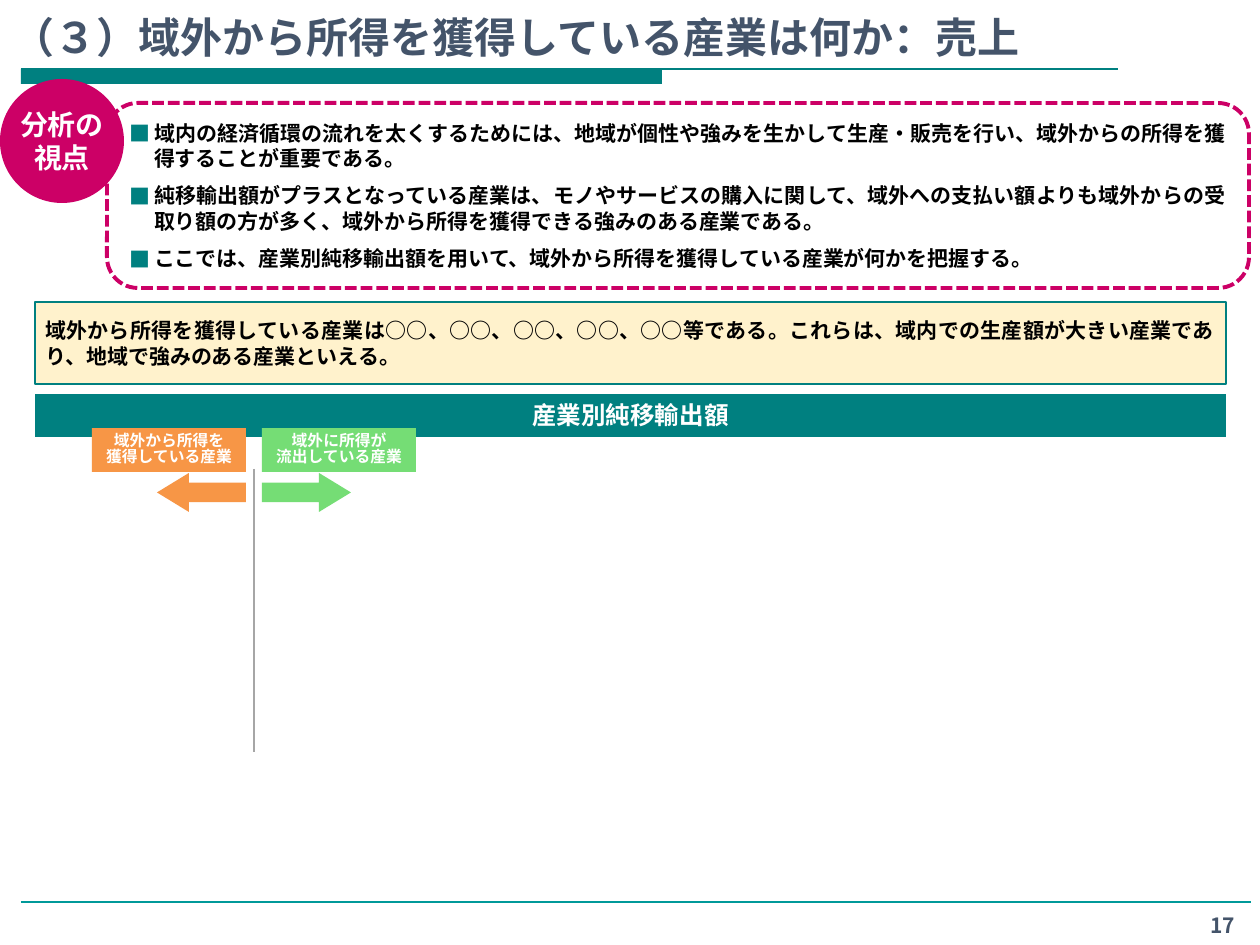
import copy
import pptx
import pptx.util
import pptx.dml.color
import pptx.enum.dml
import pptx.enum.shapes
import pptx.enum.text
import pptx.oxml.ns
import lxml.etree

FONT = "Noto Sans CJK JP"
COLORS = {
    "teal": "008080", "rule": "009999", "slate": "44546A", "gray": "A6A6A6",
    "pink": "CC0066", "cream": "FFF2CC", "green": "75DD75",
    "orange": "F79646", "black": "000000", "white": "FFFFFF",
}
SHAPE = pptx.enum.shapes.MSO_SHAPE
ALIGN = pptx.enum.text.PP_ALIGN
ANCHOR = pptx.enum.text.MSO_ANCHOR
Pt = pptx.util.Pt
qn = pptx.oxml.ns.qn


def px(num):
    """Turn px (126 to the inch) into EMU."""
    return round(num * 914400 / 126)


def color(name):
    return pptx.dml.color.RGBColor.from_string(COLORS[name])


def bullet(para, tint):
    """Hang a square bullet in front of a paragraph."""
    props = para._p.get_or_add_pPr()
    props.set("marL", str(px(25)))
    props.set("indent", str(px(-25)))
    fill = lxml.etree.SubElement(props, qn("a:buClr"))
    lxml.etree.SubElement(fill, qn("a:srgbClr"), val=COLORS[tint])
    lxml.etree.SubElement(props, qn("a:buFont"), typeface=FONT)
    lxml.etree.SubElement(props, qn("a:buChar"), char="■")


def write(shape, *lines, size=12, tint="black", align=ALIGN.LEFT,
          anchor=ANCHOR.TOP, inset=(13, 6), wrap=True, lead=None,
          before=0, after=0, mark=None):
    """Fill a shape with one paragraph for each line."""
    frame = shape.text_frame
    frame.word_wrap = wrap
    frame.vertical_anchor = anchor
    frame.margin_left = frame.margin_right = px(inset[0])
    frame.margin_top = frame.margin_bottom = px(inset[1])
    for i, line in enumerate(lines):
        para = frame.add_paragraph() if i else frame.paragraphs[0]
        para.text = line
        para.alignment = align
        para.space_before = Pt(before if i else 0)
        para.space_after = Pt(after)
        if lead:
            para.line_spacing = Pt(lead)
        if mark:
            bullet(para, mark)
        for run in para.runs:
            run.font.name = FONT
            run.font.size = Pt(size)
            run.font.bold = True
            run.font.color.rgb = color(tint)
            props = run._r.get_or_add_rPr()
            east = lxml.etree.Element(qn("a:ea"), typeface=FONT)
            props.find(qn("a:latin")).addnext(east)
        for gap in para._p.findall(qn("a:br")):
            gap.insert(0, copy.deepcopy(props))


def block(slide, kind, box, fill=None, line=None, width=1):
    """Add a flat preset shape."""
    shape = slide.shapes.add_shape(kind, *map(px, box))
    shape.shadow.inherit = False
    if fill:
        shape.fill.solid()
        shape.fill.fore_color.rgb = color(fill)
    else:
        shape.fill.background()
    if line:
        shape.line.color.rgb = color(line)
        shape.line.width = Pt(width)
    else:
        shape.line.fill.background()
    return shape


def label(slide, box, *lines, **form):
    text = slide.shapes.add_textbox(*map(px, box))
    write(text, *lines, **form)


def rule(slide, ends, tint, width):
    line = slide.shapes.add_connector(
        pptx.enum.shapes.MSO_CONNECTOR.STRAIGHT, *map(px, ends))
    line.line.color.rgb = color(tint)
    line.line.width = Pt(width)
    lxml.etree.SubElement(line._element.spPr, qn("a:effectLst"))


def header(slide, x, y, w, h):
    label(slide, (x, y, w, h), "（３）域外から所得を獲得している産業は何か：売上",
          size=24, tint="slate", anchor=ANCHOR.BOTTOM)
    block(slide, SHAPE.RECTANGLE, (x + 21, y + h + 1, 641, 15), "teal")
    rule(slide, (x + 21, y + h + 1, x + 1118, y + h + 1), "teal", 0.75)


def footer(slide, x, y, w):
    rule(slide, (x, y, x + w, y), "rule", 0.75)
    label(slide, (x + w - 65, y + 5, 74, 35), "17",
          tint="slate", align=ALIGN.CENTER)


def viewpoint(slide, x, y, w, h):
    """Dashed panel of points with a round badge at its corner."""
    panel = block(slide, SHAPE.ROUNDED_RECTANGLE, (x, y, w, h),
                  line="pink", width=2.25)
    panel.line.dash_style = pptx.enum.dml.MSO_LINE.SQUARE_DOT
    write(panel,
          "域内の経済循環の流れを太くするためには、地域が個性や強みを生かして生産・販売を行い、域外からの所得を獲得することが重要である。",
          "純移輸出額がプラスとなっている産業は、モノやサービスの購入に関して、域外への支払い額よりも域外からの受取り額の方が多く、域外から所得を獲得できる強みのある産業である。",
          "ここでは、産業別純移輸出額を用いて、域外から所得を獲得している産業が何かを把握する。",
          align=ALIGN.JUSTIFY, anchor=ANCHOR.MIDDLE,
          before=3, after=4, mark="teal")
    badge = block(slide, SHAPE.OVAL, (x - 107, y - 24, 124, 124), "pink")
    write(badge, "分析の\n視点", size=16, tint="white", align=ALIGN.CENTER,
          anchor=ANCHOR.MIDDLE, inset=(5, 6), wrap=False)


def finding(slide, x, y, w, h):
    note = block(slide, SHAPE.RECTANGLE, (x, y, w, h), "cream", "teal")
    write(note,
          "域外から所得を獲得している産業は○○、○○、○○、○○、○○等である。これらは、域内での生産額が大きい産業であり、地域で強みのある産業といえる。",
          align=ALIGN.JUSTIFY, anchor=ANCHOR.MIDDLE, inset=(10, 6))


def export(slide, x, y, w, h):
    """Heading band, dividing line and the two flow labels."""
    band = block(slide, SHAPE.RECTANGLE, (x, y, w, h), "teal")
    write(band, "産業別純移輸出額", size=14, tint="white", align=ALIGN.CENTER)
    mid = x + 219
    rule(slide, (mid, y + 75, mid, y + 358), "gray", 1)
    flow(slide, mid + 8, y + 34, 154, 44, "green", SHAPE.RIGHT_ARROW,
         "域外に所得が", "流出している産業")
    flow(slide, mid - 162, y + 34, 154, 44, "orange", SHAPE.LEFT_ARROW,
         "域外から所得を", "獲得している産業")


def flow(slide, x, y, w, h, tint, kind, *lines):
    """Label with an arrow that starts at the edge by the dividing line."""
    long = 89
    left = x + w - long if kind == SHAPE.LEFT_ARROW else x
    arrow = block(slide, kind, (left, y + h + 1, long, 39), tint)
    arrow.adjustments[0] = 0.5
    arrow.adjustments[1] = 0.82
    tag = block(slide, SHAPE.RECTANGLE, (x, y, w, h), tint)
    write(tag, *lines, size=9, tint="white", align=ALIGN.CENTER, lead=9)


def main():
    deck = pptx.Presentation()
    deck.slide_width, deck.slide_height = px(1260), px(945)
    slide = deck.slides.add_slide(deck.slide_layouts[6])
    header(slide, 0, 0, 1095, 68)
    footer(slide, 21, 902, 1230)
    viewpoint(slide, 107, 103, 1142, 185)
    finding(slide, 35, 302, 1191, 82)
    export(slide, 35, 394, 1191, 43)
    deck.save("out.pptx")


if __name__ == "__main__":
    main()
